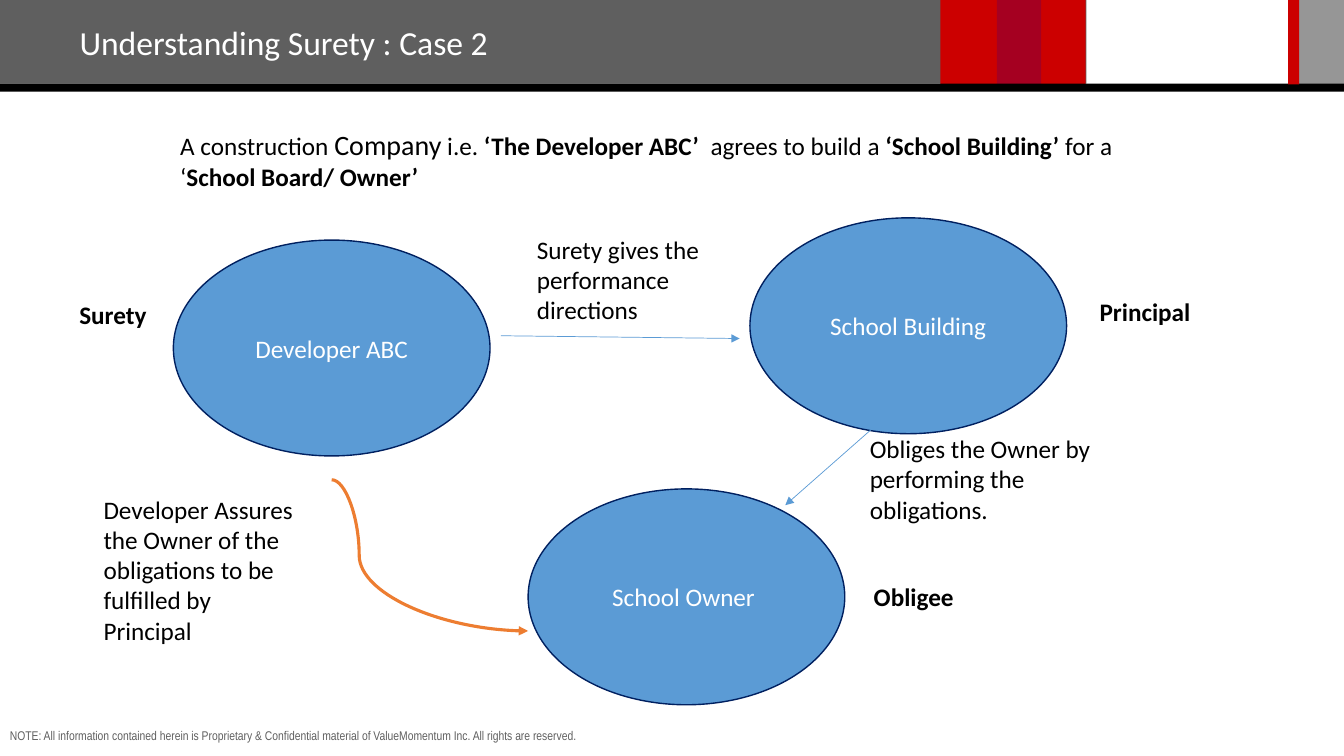
from lxml.etree import SubElement
from pptx import Presentation
from pptx.dml.color import RGBColor
from pptx.enum.shapes import MSO_CONNECTOR as Link, MSO_SHAPE as Shape
from pptx.enum.text import MSO_ANCHOR as Anchor, MSO_AUTO_SIZE as AutoSize, PP_ALIGN as Align
from pptx.oxml.ns import qn
from pptx.util import Cm, Pt

WHITE = RGBColor(0xFF, 0xFF, 0xFF)
BLACK = RGBColor(0x00, 0x00, 0x00)
GREY = RGBColor(0x5F, 0x5F, 0x5F)
SILVER = RGBColor(0x96, 0x96, 0x96)
RED = RGBColor(0xCC, 0x00, 0x00)
CRIMSON = RGBColor(0xA5, 0x00, 0x21)
BLUE = RGBColor(0x5B, 0x9B, 0xD5)
NAVY = RGBColor(0x00, 0x20, 0x60)
ORANGE = RGBColor(0xED, 0x7D, 0x31)

BODY = {"name": "Calibri", "size": Pt(18), "bold": False}
STRONG = BODY | {"bold": True}
LARGER = BODY | {"size": Pt(20)}
HEADING = BODY | {"size": Pt(24)}
NOTICE = BODY | {"name": "Arial Narrow", "size": Pt(9)}
FRAME = {"word_wrap": True, "auto_size": AutoSize.NONE, "vertical_anchor": Anchor.TOP}

BANDS = [
    (0, 0, 27.38, 2.11, GREY),
    (23.7, 0, 3.66, 2.13, RED),
    (32.46, 0, 1.42, 2.13, SILVER),
    (25.12, 0, 1.12, 2.13, CRIMSON),
    (0, 2.11, 33.87, 0.2, BLACK),
    (32.46, 0, 0.28, 2.13, RED),
]
PARTIES = [
    (4.37, 6.05, "Developer ABC"),
    (18.9, 5.49, "School Building"),
    (13.31, 12.32, "School Owner "),
]
ROLES = [
    (1.75, 7.42, 2.62, "Surety"),
    (27.46, 7.34, 4.8, "Principal"),
    (21.77, 14.53, 3.38, "Obligee"),
]
DUTIES = [
    (21.67, 10.8, 7.06, 2.57, "Obliges the Owner by performing the obligations."),
    (13.28, 5.77, 5.33, 2.57, "Surety gives the performance directions"),
    (2.36, 12.32, 5.49, 4.11,
     "Developer Assures the Owner of the obligations to be fulfilled by Principal"),
]
INTRO = [
    ("A construction ", BODY),
    ("Company", LARGER),
    (" i.e. ", BODY),
    ("‘The Developer ABC’  ", STRONG),
    ("agrees to build a ", BODY),
    ("‘School Building’ ", STRONG),
    ("for a ‘", BODY),
    ("School Board/ Owner’", STRONG),
]
NOTE = ("NOTE: All information contained herein is Proprietary & Confidential material "
        "of ValueMomentum Inc. All rights are reserved.")


def apply(target, values):
    for key, value in values.items():
        setattr(target, key, value)


def write(frame, pieces, color, align=Align.LEFT, **frame_format):
    apply(frame, FRAME | frame_format)
    paragraph = frame.paragraphs[0]
    paragraph.alignment = align
    for text, style in pieces:
        run = paragraph.add_run()
        run.text = text
        apply(run.font, style)
        run.font.color.rgb = color


def add_text(slide, left, top, width, height, pieces, color=BLACK):
    box = slide.shapes.add_textbox(Cm(left), Cm(top), Cm(width), Cm(height))
    write(box.text_frame, pieces, color)


def add_filled(slide, kind, left, top, width, height, color):
    figure = slide.shapes.add_shape(kind, Cm(left), Cm(top), Cm(width), Cm(height))
    figure.shadow.inherit = False
    figure.fill.solid()
    figure.fill.fore_color.rgb = color
    figure.line.fill.background()
    return figure


def add_party(slide, left, top, label):
    oval = add_filled(slide, Shape.OVAL, left, top, 7.98, 5.44, BLUE)
    oval.line.color.rgb = NAVY
    oval.line.width = Pt(1)
    write(oval.text_frame, [(label, BODY)], WHITE, Align.CENTER, vertical_anchor=Anchor.MIDDLE)


def add_arrow(slide, start, end, color, width, kind=Link.STRAIGHT):
    arrow = slide.shapes.add_connector(kind, *map(Cm, start + end))
    arrow.line.color.rgb = color
    arrow.line.width = Pt(width)
    properties = arrow._element.spPr
    SubElement(properties.find(qn("a:ln")), qn("a:tailEnd"), type="triangle")
    SubElement(properties, qn("a:effectLst"))
    return arrow


def bend(arrow, share):
    geometry = arrow._element.spPr.find(qn("a:prstGeom"))
    SubElement(geometry.find(qn("a:avLst")), qn("a:gd"),
               name="adj1", fmla=f"val {round(share * 100000)}")


def add_title(slide, text):
    title = slide.shapes.title
    apply(title, {"left": Cm(1.75), "top": Cm(0.43), "width": Cm(13.74), "height": Cm(1.27)})
    write(title.text_frame, [(text, HEADING)], WHITE)
    tree = slide.shapes._spTree
    tree.remove(title._element)
    tree.append(title._element)


def main():
    deck = Presentation()
    apply(deck, {"slide_width": Cm(33.87), "slide_height": Cm(19.05)})
    slide = deck.slides.add_slide(deck.slide_layouts[5])

    for *place, color in BANDS:
        add_filled(slide, Shape.RECTANGLE, *place, color)
    add_text(slide, 0, 18.21, 33.58, 0.64, [(NOTE, NOTICE)], GREY)
    add_title(slide, "Understanding Surety : Case 2")

    for party in PARTIES:
        add_party(slide, *party)
    add_text(slide, 4.29, 3.1, 25.88, 1.88, INTRO)
    for left, top, width, role in ROLES:
        add_text(slide, left, top, width, 1.02, [(role, STRONG)])

    assurance = add_arrow(slide, (8.36, 12.09), (13.31, 15.9), ORANGE, 2.25, Link.CURVE)
    bend(assurance, 0.14)
    add_arrow(slide, (12.62, 8.46), (18.64, 8.53), BLUE, 0.5)
    add_arrow(slide, (23.55, 9.42), (19.79, 12.73), BLUE, 0.5)
    for *place, duty in DUTIES:
        add_text(slide, *place, [(duty, BODY)])

    deck.save("out.pptx")


if __name__ == "__main__":
    main()
